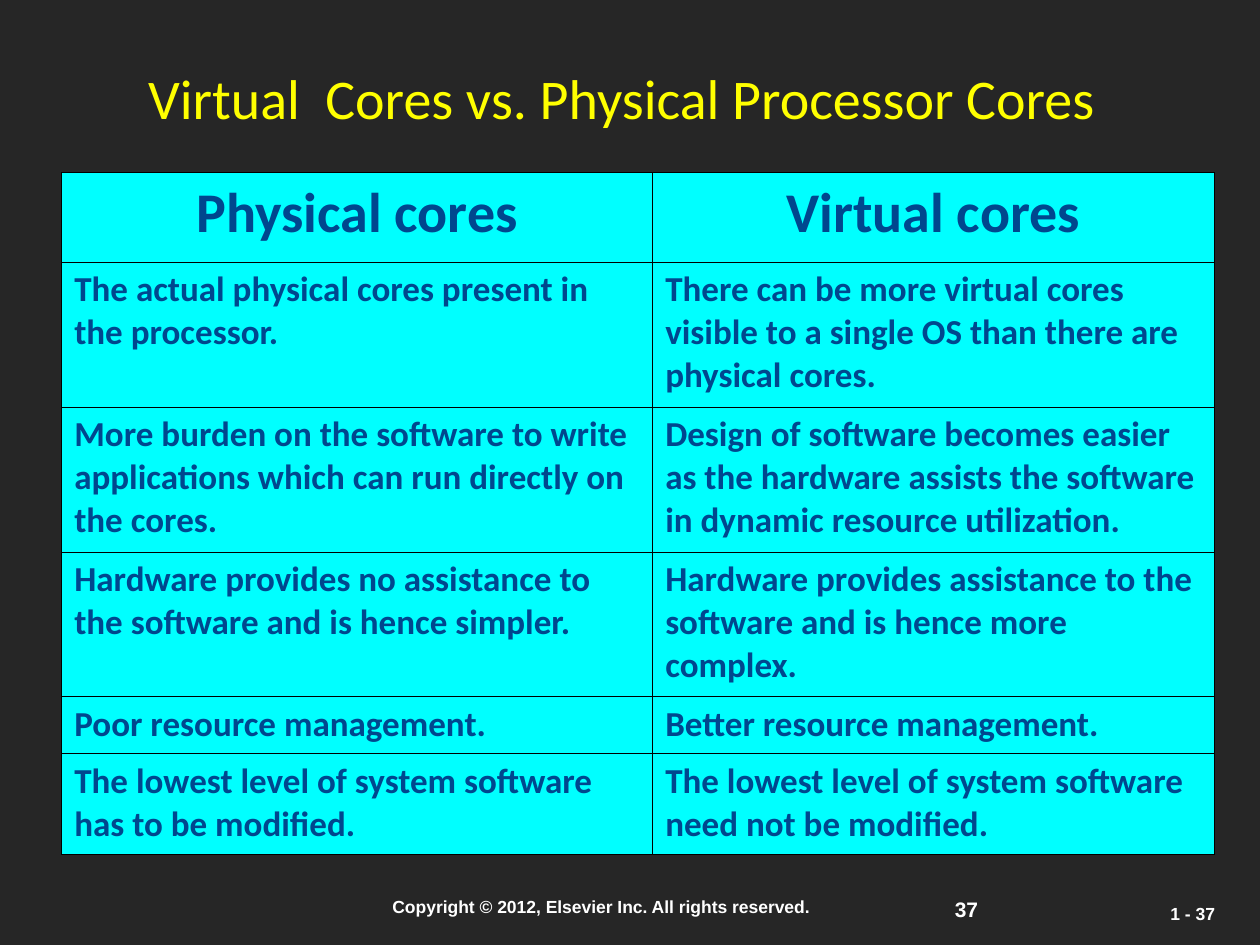
"""Build a slide comparing physical and virtual processor cores in a table."""
from dataclasses import dataclass

from lxml import etree
from pptx import Presentation
from pptx.dml.color import RGBColor
from pptx.enum.text import MSO_ANCHOR, PP_ALIGN
from pptx.oxml.ns import qn
from pptx.util import Inches, Pt

LEFT, CENTER = PP_ALIGN.LEFT, PP_ALIGN.CENTER
MIDDLE = MSO_ANCHOR.MIDDLE
COLORS = {
    "background": "262626",
    "title": "FFFF00",
    "footer": "FFFFFF",
    "cell": "00FFFF",
    "cell_text": "00478E",
    "border": "000000",
}
COLUMN_WIDTHS = (4.69, 4.46)
BORDER_WIDTH = Pt(0.45)


@dataclass
class Footer:
    text: str
    left: float
    top: float
    width: float
    height: float
    size: int
    align: PP_ALIGN = LEFT


@dataclass
class Row:
    physical: str
    virtual: str
    height: float
    size: int = 20
    align: PP_ALIGN = LEFT


FOOTERS = [
    Footer("37", 7.48, 7.07, 0.57, 0.3, 12),
    Footer("Copyright © 2012, Elsevier Inc. All rights reserved.",
           2.57, 7.06, 4.4, 0.27, 10, CENTER),
    Footer("1 - 37", 9.19, 7.12, 0.81, 0.27, 10),
]
ROWS = [
    Row("Physical cores", "Virtual cores", 0.71, 32, CENTER),
    Row("The actual physical cores present in the processor.",
        "There can be more virtual cores visible to a single OS than there are "
        "physical cores.", 1.15),
    Row("More burden on the software to write applications which can run "
        "directly on the cores.",
        "Design of software becomes easier as the hardware assists the software "
        "in dynamic resource utilization.", 1.15),
    Row("Hardware provides no assistance to the software and is hence simpler.",
        "Hardware provides assistance to the software and is hence more complex.",
        1.15),
    Row("Poor resource management.", "Better resource management.", 0.45),
    Row("The lowest level of system software has to be modified.",
        "The lowest level of system software need not be modified.", 0.8),
]


def rgb(name: str) -> RGBColor:
    return RGBColor.from_string(COLORS[name])


def write(tf, text: str, size: int, font: str, color: str,
          align: PP_ALIGN, bold: bool):
    p = tf.paragraphs[0]
    r = p.add_run()
    r.text = text
    p.alignment = align
    p.font.size = Pt(size)
    p.font.name = font
    p.font.bold = bold
    p.font.color.rgb = rgb(color)
    return r


def add_text_shadow(r) -> None:
    effects = etree.SubElement(r.font._element, qn("a:effectLst"))
    shadow = etree.SubElement(effects, qn("a:outerShdw"),
                              dist="25400", dir="2700000")
    etree.SubElement(shadow, qn("a:srgbClr"), val=COLORS["border"])


def add_borders(cell) -> None:
    tc_pr = cell._tc.get_or_add_tcPr()
    for i, side in enumerate(("lnL", "lnR", "lnT", "lnB")):
        line = etree.Element(qn(f"a:{side}"), w=str(BORDER_WIDTH))
        fill = etree.SubElement(line, qn("a:solidFill"))
        etree.SubElement(fill, qn("a:srgbClr"), val=COLORS["border"])
        tc_pr.insert(i, line)


def add_title(s) -> None:
    title = s.shapes.title
    title.left, title.top = Inches(0.34), Inches(0.45)
    title.width, title.height = Inches(9.19), Inches(0.64)
    tf = title.text_frame
    tf.word_wrap = True
    tf.vertical_anchor = MIDDLE
    r = write(tf, "Virtual  Cores vs. Physical Processor Cores",
              32, "Calibri", "title", CENTER, False)
    add_text_shadow(r)


def add_footer(s, footer: Footer) -> None:
    box = s.shapes.add_textbox(Inches(footer.left), Inches(footer.top),
                               Inches(footer.width), Inches(footer.height))
    tf = box.text_frame
    tf.word_wrap = True
    write(tf, footer.text, footer.size, "Arial", "footer", footer.align, True)


def add_comparison(s, rows: list[Row]) -> None:
    height = sum(row.height for row in rows)
    table = s.shapes.add_table(
        len(rows), len(COLUMN_WIDTHS), Inches(0.49), Inches(1.37),
        Inches(sum(COLUMN_WIDTHS)), Inches(height)).table
    for column, width in zip(table.columns, COLUMN_WIDTHS):
        column.width = Inches(width)
    for i, row in enumerate(rows):
        table.rows[i].height = Inches(row.height)
        for j, text in enumerate((row.physical, row.virtual)):
            cell = table.cell(i, j)
            cell.fill.solid()
            cell.fill.fore_color.rgb = rgb("cell")
            add_borders(cell)
            write(cell.text_frame, text, row.size, "Calibri", "cell_text",
                  row.align, True)


def main() -> None:
    prs = Presentation()
    prs.slide_width, prs.slide_height = Inches(10), Inches(7.5)
    s = prs.slides.add_slide(prs.slide_layouts[5])
    s.background.fill.solid()
    s.background.fill.fore_color.rgb = rgb("background")
    for footer in FOOTERS:
        add_footer(s, footer)
    add_title(s)
    add_comparison(s, ROWS)
    prs.save("out.pptx")


if __name__ == "__main__":
    main()
